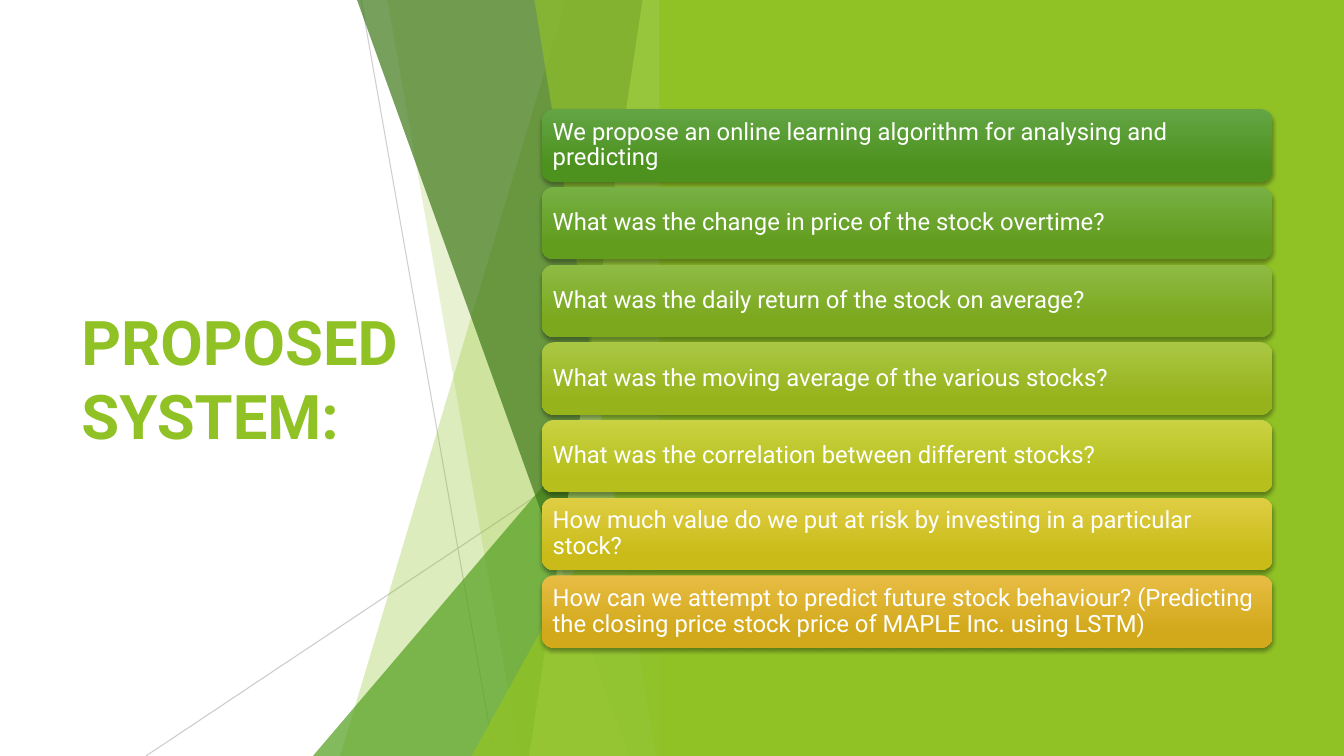
import dataclasses

import lxml.etree
import pptx
import pptx.dml.color
import pptx.enum.shapes
import pptx.enum.text
import pptx.oxml
import pptx.oxml.ns
import pptx.util

PX = 9525  # EMU in one px, 96 px to the inch
SHAPE = pptx.enum.shapes.MSO_SHAPE


@dataclasses.dataclass(frozen=True)
class Theme:
    font: str = "Roboto"
    title_size: int = 44
    bar_size: int = 17
    white: str = "FFFFFF"
    lime: str = "90C226"
    green: str = "54A021"
    forest: str = "3F7819"
    pale: str = "C0E474"
    hairline: str = "BFBFBF"
    bar_gradients: tuple = (
        ("63A545", "4D921E"),
        ("77B044", "629D1E"),
        ("8EBB44", "7BA81D"),
        ("AAC744", "97B31C"),
        ("CAD243", "B6BF1B"),
        ("DFCE43", "CABB19"),
        ("E7BC43", "D2A91B"),
    )


THEME = Theme()

QUESTIONS = (
    "We propose an online learning algorithm for analysing and predicting",
    "What was the change in price of the stock overtime?",
    "What was the daily return of the stock on average?",
    "What was the moving average of the various stocks?",
    "What was the correlation between different stocks?",
    "How much value do we put at risk by investing in a particular stock?",
    "How can we attempt to predict future stock behaviour? "
    "(Predicting the closing price stock price of MAPLE Inc. using LSTM)",
)


def emu(*lengths):
    return [pptx.util.Emu(length * PX) for length in lengths]


def rgb(color):
    return pptx.dml.color.RGBColor.from_string(color)


def set_alpha(parent, percent):
    """Make the solid colour found under parent partly transparent."""
    color = parent.find(".//" + pptx.oxml.ns.qn("a:srgbClr"))
    alpha = lxml.etree.SubElement(color, pptx.oxml.ns.qn("a:alpha"))
    alpha.set("val", str(percent * 1000))


def paint(shape, color, opacity=100):
    shape.shadow.inherit = False
    shape.line.fill.background()
    shape.fill.solid()
    shape.fill.fore_color.rgb = rgb(color)
    if opacity < 100:
        set_alpha(shape.fill._xPr, opacity)


def add_run(paragraph, text, size, color, bold=False):
    run = paragraph.add_run()
    run.text = text
    run.font.name = THEME.font
    run.font.size = pptx.util.Pt(size)
    run.font.bold = bold
    run.font.color.rgb = rgb(color)


def add_title(slide, box):
    title = slide.shapes.title
    title.left, title.top, title.width, title.height = emu(*box)
    frame = title.text_frame
    frame.word_wrap = True
    frame.auto_size = pptx.enum.text.MSO_AUTO_SIZE.NONE
    frame.vertical_anchor = pptx.enum.text.MSO_ANCHOR.MIDDLE
    paragraph = frame.paragraphs[0]
    paragraph.alignment = pptx.enum.text.PP_ALIGN.LEFT
    add_run(paragraph, "PROPOSED SYSTEM:", THEME.title_size, THEME.lime, bold=True)


def add_facets(slide, box):
    left, top, width, height = box

    # Hairlines: start, end, opacity
    hairlines = (
        ((205, 0), (332, height), 75),
        ((width, 387), (0, height), 80),
    )
    for (x1, y1), (x2, y2), opacity in hairlines:
        line = slide.shapes.add_connector(
            pptx.enum.shapes.MSO_CONNECTOR.STRAIGHT,
            *emu(left + x1, top + y1, left + x2, top + y2))
        line.line.color.rgb = rgb(THEME.hairline)
        line.line.width = pptx.util.Pt(0.75)
        properties = line._element.spPr
        set_alpha(properties, opacity)
        lxml.etree.SubElement(properties, pptx.oxml.ns.qn("a:effectLst"))

    def add_panel(top_x, bottom_x, color, opacity):
        builder = slide.shapes.build_freeform(top_x, 0, scale=PX)
        builder.add_line_segments(
            [(width, 0), (width, height), (bottom_x, height)], close=True)
        paint(builder.convert_to_shape(*emu(left, top)), color, opacity)

    def add_wedge(wedge_x, wedge_y, color, opacity):
        wedge = slide.shapes.add_shape(SHAPE.ISOSCELES_TRIANGLE, *emu(
            left + wedge_x, top + wedge_y, width - wedge_x, height - wedge_y))
        wedge.adjustments[0] = 1
        paint(wedge, color, opacity)

    # Translucent panels and corner wedges, back to front
    add_panel(400, 185, THEME.lime, 30)
    add_panel(230, 356, THEME.lime, 20)
    add_wedge(159, 320, THEME.green, 72)
    add_panel(201, 460, THEME.forest, 70)
    add_panel(473, 365, THEME.pale, 70)
    add_panel(370, 486, THEME.lime, 65)
    add_wedge(310, 377, THEME.lime, 80)


def add_backdrop(slide, box):
    paint(slide.shapes.add_shape(SHAPE.RECTANGLE, *emu(*box)), THEME.lime)


def add_drop_shadow(shape):
    shape.shadow.inherit = False
    effects = shape._element.spPr.find(pptx.oxml.ns.qn("a:effectLst"))
    effects.append(pptx.oxml.parse_xml(
        f'<a:outerShdw {pptx.oxml.ns.nsdecls("a")} blurRad="38100" dist="25400" '
        'dir="5400000" rotWithShape="0"><a:srgbClr val="000000">'
        '<a:alpha val="35000"/></a:srgbClr></a:outerShdw>'))


def add_bar(slide, box, text, gradient):
    bar = slide.shapes.add_shape(SHAPE.ROUNDED_RECTANGLE, *emu(*box))
    bar.line.fill.background()
    bar.fill.gradient()
    bar.fill.gradient_angle = 270
    for stop, position, color in zip(bar.fill.gradient_stops, (0, 0.78), gradient):
        stop.position = position
        stop.color.rgb = rgb(color)
    add_drop_shadow(bar)

    frame = bar.text_frame
    frame.word_wrap = True
    frame.vertical_anchor = pptx.enum.text.MSO_ANCHOR.MIDDLE
    (frame.margin_left, frame.margin_top,
     frame.margin_right, frame.margin_bottom) = emu(7, 7, 7, 7)
    paragraph = frame.paragraphs[0]
    paragraph.alignment = pptx.enum.text.PP_ALIGN.LEFT
    paragraph.line_spacing = 0.9
    add_run(paragraph, text, THEME.bar_size, THEME.white)


def add_question_list(slide, box):
    left, top, width, height = box
    gap = 5
    bar_height = (height + gap) // len(QUESTIONS) - gap
    for index, (text, gradient) in enumerate(zip(QUESTIONS, THEME.bar_gradients)):
        bar_top = top + index * (bar_height + gap)
        add_bar(slide, (left, bar_top, width, bar_height), text, gradient)


def main():
    presentation = pptx.Presentation()
    presentation.slide_width, presentation.slide_height = emu(1280, 720)
    slide = presentation.slides.add_slide(presentation.slide_layouts[5])
    slide.background.fill.solid()
    slide.background.fill.fore_color.rgb = rgb(THEME.white)

    add_title(slide, (68, 145, 372, 430))
    add_facets(slide, (139, 0, 500, 720))
    add_backdrop(slide, (628, 0, 652, 720))
    add_question_list(slide, (516, 104, 696, 513))
    presentation.save("out.pptx")


if __name__ == "__main__":
    main()
